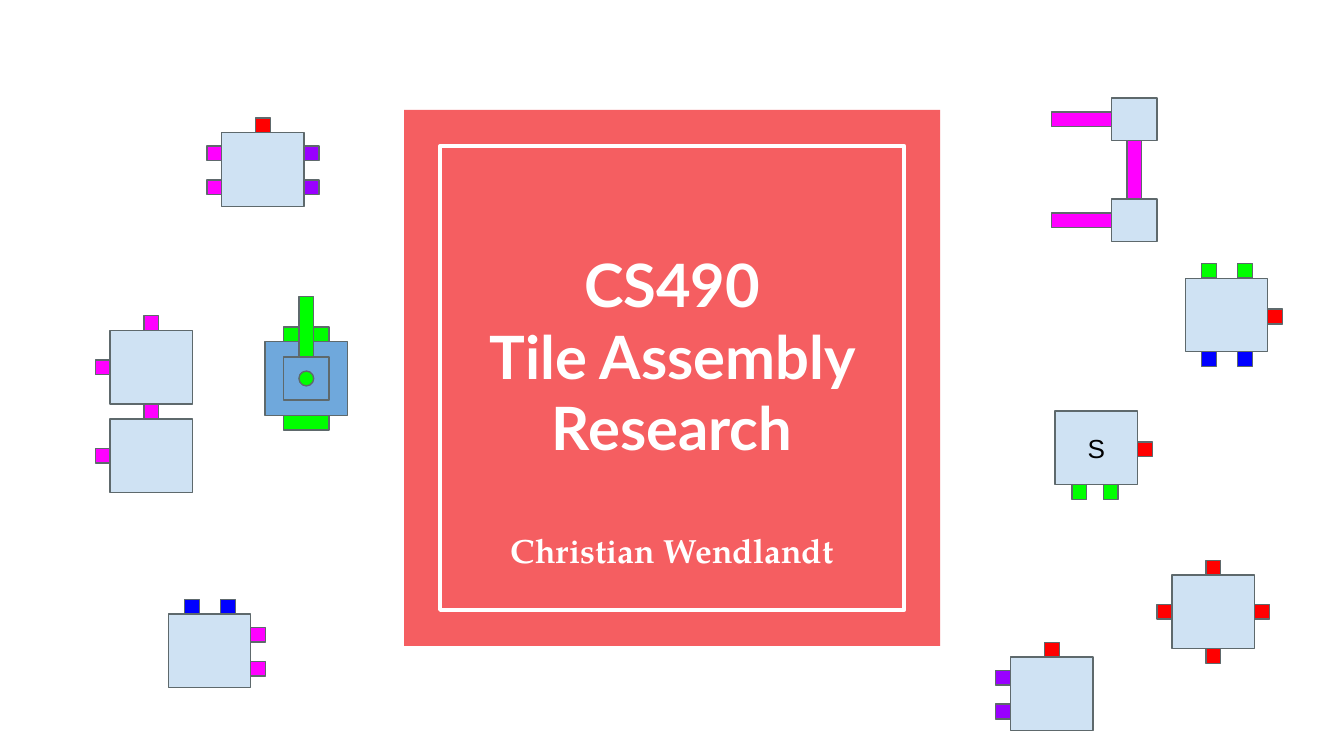
from pptx import Presentation
from pptx.dml.color import RGBColor
from pptx.enum.shapes import MSO_SHAPE
from pptx.enum.text import MSO_ANCHOR, PP_ALIGN
from pptx.util import Cm, Pt

WHITE = RGBColor(0xFF, 0xFF, 0xFF)
BLACK = RGBColor(0x00, 0x00, 0x00)
CORAL = RGBColor(0xF5, 0x5E, 0x61)
OUTLINE = RGBColor(0x5E, 0x69, 0x6C)
PALE_BLUE = RGBColor(0xCF, 0xE2, 0xF3)
MID_BLUE = RGBColor(0x6F, 0xA8, 0xDC)
RED = RGBColor(0xFF, 0x00, 0x00)
GREEN = RGBColor(0x00, 0xFF, 0x00)
BLUE = RGBColor(0x00, 0x00, 0xFF)
MAGENTA = RGBColor(0xFF, 0x00, 0xFF)
PURPLE = RGBColor(0x99, 0x00, 0xFF)

# All lengths are in centimetres.
TILE_WIDTH, TILE_HEIGHT = 1.56, 1.39
SMALL_WIDTH, SMALL_HEIGHT = 0.86, 0.81
GLUE = 0.28
BAR = 1.14
MIDDLE_X = (TILE_WIDTH - GLUE) / 2
MIDDLE_Y = (TILE_HEIGHT - GLUE) / 2
COLUMNS = (0.31, 0.99)
NARROW_COLUMNS = (0.32, 0.91)
ROWS = (0.25, 0.89)


def add_block(shapes, left, top, width, height, fill=None, line=OUTLINE,
              line_width=0.75, kind=MSO_SHAPE.RECTANGLE):
    shape = shapes.add_shape(kind, Cm(left), Cm(top), Cm(width), Cm(height))
    shape.shadow.inherit = False
    if fill is None:
        shape.fill.background()
    else:
        shape.fill.solid()
        shape.fill.fore_color.rgb = fill
    if line is None:
        shape.line.fill.background()
    else:
        shape.line.color.rgb = line
        shape.line.width = Pt(line_width)
    return shape


def write_text(shape, text, font_name, size, color, bold=False,
               anchor=MSO_ANCHOR.MIDDLE):
    frame = shape.text_frame
    frame.word_wrap = True
    frame.vertical_anchor = anchor
    frame.margin_left = frame.margin_right = Cm(0.25)
    frame.margin_top = frame.margin_bottom = Cm(0.25)
    frame.text = text
    for paragraph in frame.paragraphs:
        paragraph.alignment = PP_ALIGN.CENTER
        for run in paragraph.runs:
            run.font.name = font_name
            run.font.size = Pt(size)
            run.font.bold = bold
            run.font.color.rgb = color


def add_title_card(slide, left, top, size):
    inset = 0.68
    add_block(slide.shapes, left, top, size, size, CORAL, line=None)
    add_block(slide.shapes, left + inset, top + inset, size - 2 * inset,
              size - 2 * inset, line=WHITE, line_width=2.25)
    text_left, text_width = Cm(left + 0.97), Cm(size - 1.94)
    title = slide.shapes.add_textbox(text_left, Cm(top + 2.44), text_width, Cm(4.39))
    write_text(title, "CS490\nTile Assembly Research", "Lato", 32, WHITE, bold=True)
    author = slide.shapes.add_textbox(text_left, Cm(top + 6.99), text_width, Cm(1.96))
    write_text(author, "Christian Wendlandt", "TeX Gyre Pagella", 18, WHITE,
               bold=True, anchor=MSO_ANCHOR.BOTTOM)


def add_tile(shapes, left, top, glues, label=None):
    """Draw a tile; glues maps a side to its colour and the offsets along it."""
    tile = add_block(shapes, left, top, TILE_WIDTH, TILE_HEIGHT, PALE_BLUE)
    if label:
        write_text(tile, label, "Arial", 14, BLACK)
    for side, (color, offsets) in glues.items():
        for offset in offsets:
            x, y = {
                "top": (offset, -GLUE),
                "bottom": (offset, TILE_HEIGHT),
                "left": (-GLUE, offset),
                "right": (TILE_WIDTH, offset),
            }[side]
            add_block(shapes, left + x, top + y, GLUE, GLUE, color)


def add_tile_pair(shapes, left, top):
    """Stack two tiles, held together by the lower tile's top glue."""
    glues = {"top": (MAGENTA, [MIDDLE_X]), "left": (MAGENTA, [MIDDLE_Y])}
    for row in range(2):
        add_tile(shapes, left, top + row * (TILE_HEIGHT + GLUE), glues)


def add_arm_pair(shapes, left, top):
    """Join two small tiles by a bar, each with an arm to its left."""
    tile_left = left + BAR
    lower_top = top + 1.91
    add_block(shapes, tile_left + (SMALL_WIDTH - GLUE) / 2, lower_top - BAR,
              GLUE, BAR, MAGENTA)
    for tile_top in (top, lower_top):
        add_block(shapes, left, tile_top + (SMALL_HEIGHT - GLUE) / 2,
                  BAR, GLUE, MAGENTA)
        add_block(shapes, tile_left, tile_top, SMALL_WIDTH, SMALL_HEIGHT, PALE_BLUE)


def add_raised_tile(shapes, left, top):
    """Draw the darker tile with a small tile, a bar and a dot on it."""
    inner_left = left + (TILE_WIDTH - SMALL_WIDTH) / 2
    inner_top = top + (TILE_HEIGHT - SMALL_HEIGHT) / 2
    add_block(shapes, left, top, TILE_WIDTH, TILE_HEIGHT, MID_BLUE)
    add_block(shapes, inner_left, inner_top, SMALL_WIDTH, SMALL_HEIGHT, MID_BLUE)
    for glue_top in (top - GLUE, top + TILE_HEIGHT):
        add_block(shapes, inner_left, glue_top, SMALL_WIDTH, GLUE, GREEN)
    add_block(shapes, left + MIDDLE_X, top + MIDDLE_Y, GLUE, GLUE, GREEN,
              kind=MSO_SHAPE.OVAL)
    add_block(shapes, left + MIDDLE_X, inner_top - BAR, GLUE, BAR, GREEN)


def main():
    presentation = Presentation()
    presentation.slide_width, presentation.slide_height = Cm(25.4), Cm(14.29)
    slide = presentation.slides.add_slide(presentation.slide_layouts[6])
    add_title_card(slide, 7.64, 2.08, 10.13)

    single_tiles = [
        (22.4, 5.26, {"right": (RED, [MIDDLE_Y + 0.03]), "top": (GREEN, COLUMNS),
                      "bottom": (BLUE, COLUMNS)}, None),
        (19.94, 7.77, {"right": (RED, [MIDDLE_Y + 0.03]),
                       "bottom": (GREEN, NARROW_COLUMNS)}, "S"),
        (3.18, 11.61, {"right": (MAGENTA, ROWS), "top": (BLUE, COLUMNS)}, None),
        (4.19, 2.51, {"left": (MAGENTA, ROWS), "right": (PURPLE, ROWS),
                      "top": (RED, [MIDDLE_X])}, None),
        (19.1, 12.42, {"left": (PURPLE, ROWS), "top": (RED, [MIDDLE_X])}, None),
        (22.15, 10.87, {"top": (RED, [MIDDLE_X]), "left": (RED, [MIDDLE_Y]),
                        "right": (RED, [MIDDLE_Y]),
                        "bottom": (RED, [MIDDLE_X])}, None),
    ]
    for left, top, glues, label in single_tiles:
        add_tile(slide.shapes.add_group_shape().shapes, left, top, glues, label)

    assemblies = [(add_tile_pair, 2.08, 6.25), (add_arm_pair, 19.87, 1.85),
                  (add_raised_tile, 5.01, 6.46)]
    for add_assembly, left, top in assemblies:
        add_assembly(slide.shapes.add_group_shape().shapes, left, top)

    presentation.save("out.pptx")


if __name__ == "__main__":
    main()
